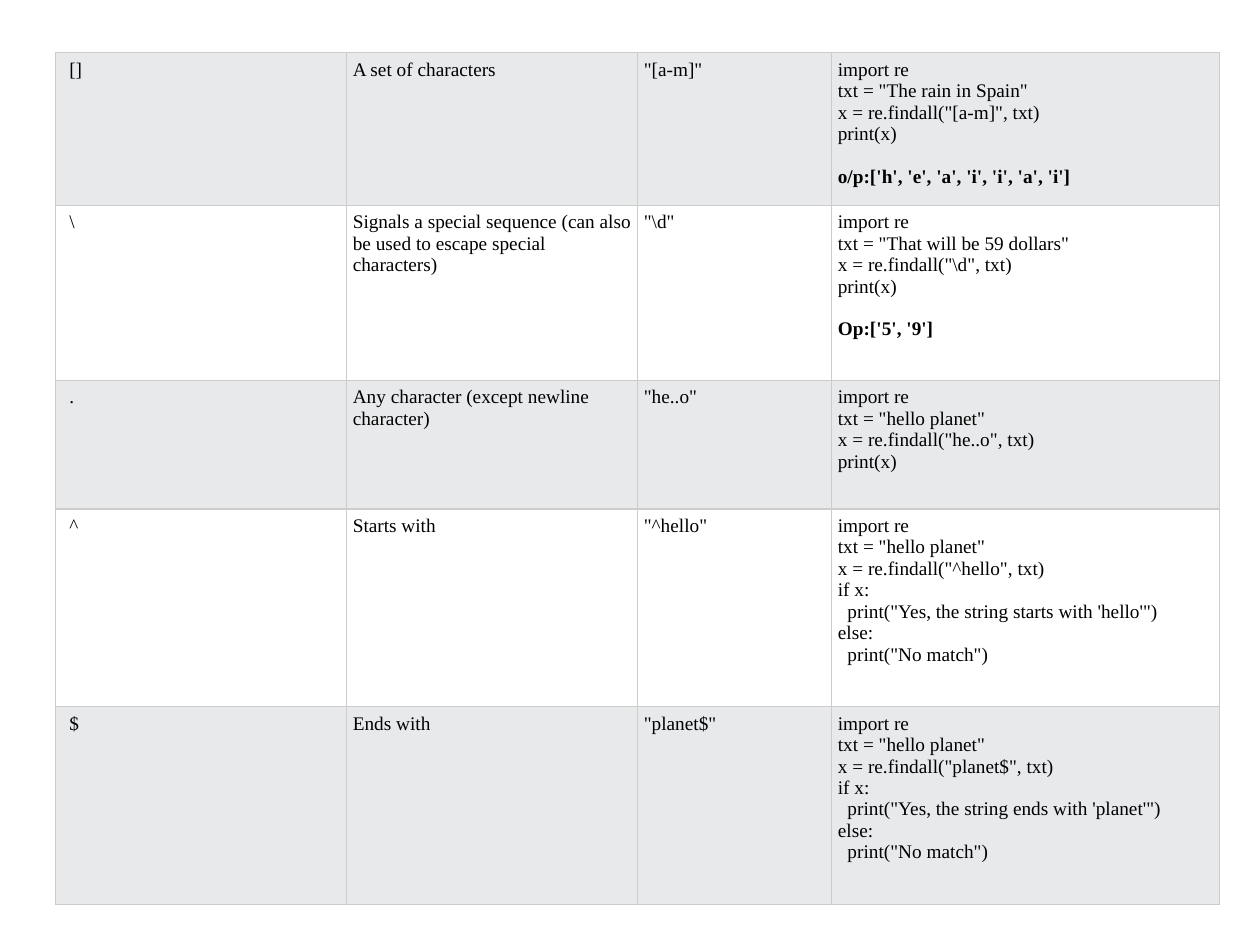
from lxml import etree
from pptx import Presentation
from pptx.dml.color import RGBColor
from pptx.oxml import ns
from pptx.util import Inches, Pt


def rgb(value):
    return RGBColor.from_string(value)


def add_borders(cell, color, width):
    """Draw the four edges of a cell; call before setting its fill."""
    tc_pr = cell._tc.get_or_add_tcPr()
    for edge in ("lnL", "lnR", "lnT", "lnB"):
        ln = etree.SubElement(tc_pr, ns.qn(f"a:{edge}"), w=str(Pt(width)))
        fill = etree.SubElement(ln, ns.qn("a:solidFill"))
        etree.SubElement(fill, ns.qn("a:srgbClr"), val=color)


# Symbol, meaning, pattern, code, output
ROWS = [
    ("[]", "A set of characters", '"[a-m]"',
     '''import re
txt = "The rain in Spain"
x = re.findall("[a-m]", txt)
print(x)''', "o/p:['h', 'e', 'a', 'i', 'i', 'a', 'i']"),
    ("\\", "Signals a special sequence (can also be used to escape special characters)", r'"\d"',
     r'''import re
txt = "That will be 59 dollars"
x = re.findall("\d", txt)
print(x)''', "Op:['5', '9']"),
    (".", "Any character (except newline character)", '"he..o"',
     '''import re
txt = "hello planet"
x = re.findall("he..o", txt)
print(x)''', None),
    ("^", "Starts with", '"^hello"',
     '''import re
txt = "hello planet"
x = re.findall("^hello", txt)
if x:
  print("Yes, the string starts with 'hello'")
else:
  print("No match")''', None),
    ("$", "Ends with", '"planet$"',
     '''import re
txt = "hello planet"
x = re.findall("planet$", txt)
if x:
  print("Yes, the string ends with 'planet'")
else:
  print("No match")''', None),
]
COL_WIDTHS = [2.31, 2.31, 1.54, 3.08]
ROW_HEIGHTS = [1.21, 1.39, 1.02, 1.57, 1.57]
BANDS = ["E7E9EB", "FFFFFF"]

prs = Presentation()
prs.slide_width, prs.slide_height = Inches(10), Inches(7.5)
s = prs.slides.add_slide(prs.slide_layouts[6])

table = s.shapes.add_table(
    len(ROWS), len(COL_WIDTHS), Inches(0.44), Inches(0.42),
    Inches(sum(COL_WIDTHS)), Inches(sum(ROW_HEIGHTS))).table
table.first_row = table.horz_banding = False
for column, width in zip(table.columns, COL_WIDTHS):
    column.width = Inches(width)

for i, (*texts, output) in enumerate(ROWS):
    table.rows[i].height = Inches(ROW_HEIGHTS[i])
    for j, content in enumerate(texts):
        cell = table.cell(i, j)
        cell.margin_left = Inches(0.11 if j == 0 else 0.05)
        cell.margin_right = cell.margin_top = cell.margin_bottom = Inches(0.05)
        add_borders(cell, "CCCCCC", 0.75)
        cell.fill.solid()
        cell.fill.fore_color.rgb = rgb(BANDS[i % 2])
        tf = cell.text_frame
        tf.text = content
        if j == 3 and output:
            p = tf.add_paragraph()
            p.text = output
            p.space_before = Pt(12.2)
            p.font.bold = True
        for p in tf.paragraphs:
            p.font.name = "Times New Roman"
            p.font.size = Pt(11)
            p.font.color.rgb = rgb("000000")

prs.save("out.pptx")
